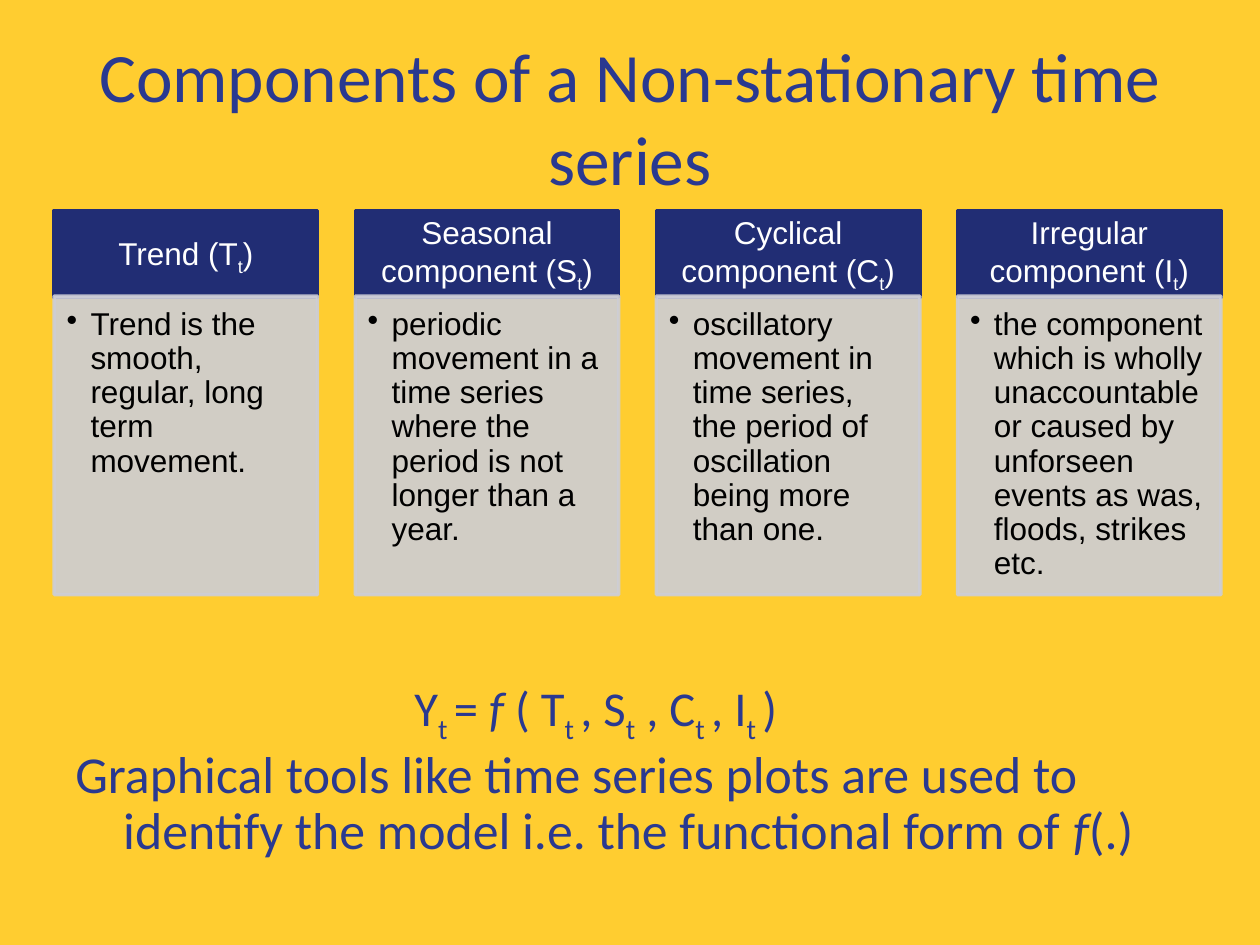
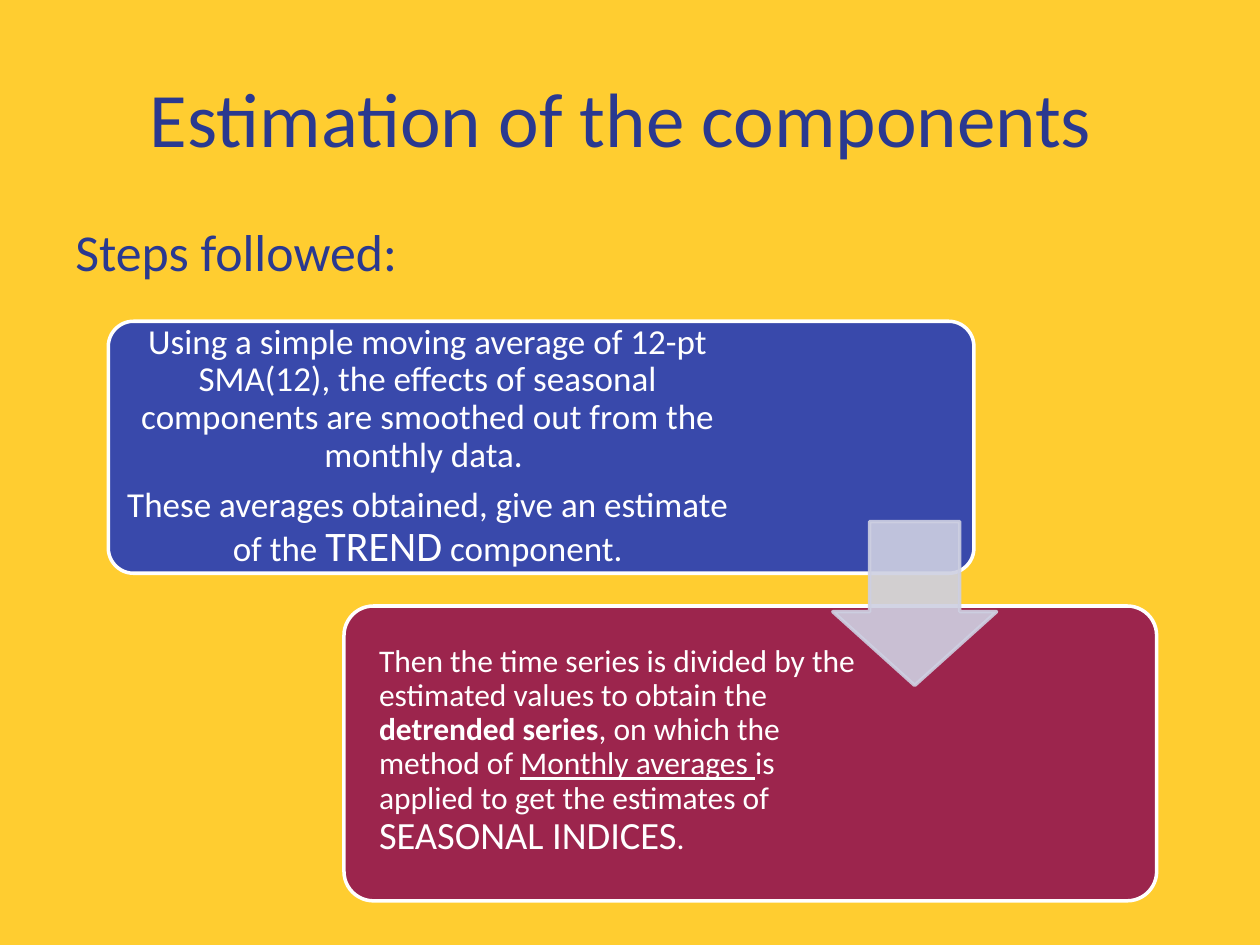
from dataclasses import dataclass, field
from typing import NamedTuple

from lxml import etree
from pptx import Presentation
from pptx.dml.color import RGBColor
from pptx.enum.shapes import MSO_SHAPE as Preset
from pptx.enum.text import MSO_ANCHOR as Anchor, PP_ALIGN as Align
from pptx.oxml.ns import qn
from pptx.util import Inches, Length, Pt


# Theme: every colour, font and type size
@dataclass(frozen=True)
class Theme:
    background: str = "FFCD30"
    ink: str = "2A3990"
    header: str = "212D74"
    card: str = "CDCDD6"
    trend_step: str = "3949AB"
    seasonal_step: str = "9C254D"
    arrow: str = "CED0E2"
    white: str = "FFFFFF"
    black: str = "000000"
    main_font: str = "Calibri"
    card_font: str = "Arial"
    title_size: float = 44
    long_title_size: float = 39.6
    body_size: float = 29.6
    formula_size: float = 27.8
    trend_size: float = 20
    trend_word_size: float = 24
    card_size: float = 18
    seasonal_word_size: float = 22
    outline: float = 2
    veil: int = 90


THEME = Theme()


class Box(NamedTuple):
    left: float
    top: float
    width: float
    height: float


class Insets(NamedTuple):
    left: float = 0.1
    top: float = 0.05
    right: float = 0.1
    bottom: float = 0.05


class Span(NamedTuple):
    text: str
    format: dict = {}
    subscript: bool = False


@dataclass
class Para:
    spans: list[Span]
    size: float
    color: str = THEME.ink
    font: str = THEME.main_font
    margin: float = 0
    indent: float = 0
    bullet: bool = False
    format: dict = field(default_factory=lambda: {"line_spacing": 0.9})


@dataclass
class Panel:
    box: Box
    fill: str
    line: str = THEME.white
    preset: Preset = Preset.RECTANGLE
    adjustments: tuple[float, ...] = ()
    opacity: int = 100


class Component(NamedTuple):
    name: str
    symbol: str
    meaning: str


def lengths(values: tuple[float, ...]) -> list[Length]:
    return [Inches(value) for value in values]


def set_formats(target, formats: dict) -> None:
    for name, value in formats.items():
        setattr(target, name, value)


def subscripted(text: str) -> list[Span]:
    """Split text at braces; the parts within braces are subscripts."""
    parts = text.replace("}", "{").split("{")
    return [Span(part, {}, index % 2 == 1) for index, part in enumerate(parts)]


def write(frame, paras: list[Para], insets: Insets, anchor: Anchor = Anchor.TOP) -> None:
    left, top, right, bottom = lengths(insets)
    set_formats(frame, {"word_wrap": True, "vertical_anchor": anchor,
                        "margin_left": left, "margin_top": top,
                        "margin_right": right, "margin_bottom": bottom})
    for index, para in enumerate(paras):
        paragraph = frame.add_paragraph() if index else frame.paragraphs[0]
        set_formats(paragraph, {"alignment": Align.LEFT} | para.format)
        properties = paragraph._p.get_or_add_pPr()
        properties.set("marL", str(Inches(para.margin)))
        properties.set("indent", str(Inches(para.indent)))
        if para.bullet:
            etree.SubElement(properties, qn("a:buChar")).set("char", "•")
        for span in para.spans:
            run = paragraph.add_run()
            run.text = span.text
            set_formats(run.font, {"name": para.font, "size": Pt(para.size)} | span.format)
            run.font.color.rgb = RGBColor.from_string(para.color)
            if span.subscript:
                run._r.get_or_add_rPr().set("baseline", "-25000")


def add_text(slide, box: Box, paras: list[Para], anchor: Anchor = Anchor.TOP) -> None:
    write(slide.shapes.add_textbox(*lengths(box)).text_frame, paras, Insets(), anchor)


def add_panel(slide, panel: Panel):
    shape = slide.shapes.add_shape(panel.preset, *lengths(panel.box))
    shape.shadow.inherit = False
    for index, value in enumerate(panel.adjustments):
        shape.adjustments[index] = value
    shape.fill.solid()
    shape.fill.fore_color.rgb = RGBColor.from_string(panel.fill)
    shape.line.color.rgb = RGBColor.from_string(panel.line)
    shape.line.width = Pt(THEME.outline)
    if panel.opacity < 100:
        for color in shape._element.spPr.iter(qn("a:srgbClr")):
            etree.SubElement(color, qn("a:alpha")).set("val", str(panel.opacity * 1000))
    return shape


def add_slide(deck, title: str, title_size: float):
    slide = deck.slides.add_slide(deck.slide_layouts[6])
    slide.background.fill.solid()
    slide.background.fill.fore_color.rgb = RGBColor.from_string(THEME.background)
    heading = Para([Span(title)], title_size, format={"alignment": Align.CENTER})
    add_text(slide, Box(0.5, 0.3, 9, 1.25), [heading], Anchor.MIDDLE)
    return slide


# Slide 1: four component cards and the model
COMPONENTS = [
    Component("Trend", "T", "Trend is the smooth, regular, long term movement."),
    Component("Seasonal component", "S", "periodic movement in a time series where "
              "the period is not longer than a year."),
    Component("Cyclical component", "C", "oscillatory movement in time series, "
              "the period of oscillation being more than one."),
    Component("Irregular component", "I", "the component which is wholly unaccountable "
              "or caused by unforseen events as was, floods, strikes etc."),
]
CARD_LEFT, CARD_STEP, CARD_WIDTH = 0.43, 2.39, 2.09
HEADER_TOP, HEADER_HEIGHT = 1.67, 0.69
MEANING_TOP, MEANING_HEIGHT = 2.35, 2.37


def add_card(slide, column: int, component: Component) -> None:
    left = CARD_LEFT + column * CARD_STEP
    header = add_panel(slide, Panel(Box(left, HEADER_TOP, CARD_WIDTH, HEADER_HEIGHT),
                                    THEME.header, THEME.header))
    name = Para(subscripted(f"{component.name} ({component.symbol}{{t}})"), THEME.card_size,
                THEME.white, THEME.card_font,
                format={"alignment": Align.CENTER, "line_spacing": 0.9})
    write(header.text_frame, [name], Insets(0.14, 0.08, 0.14, 0.08), Anchor.MIDDLE)

    body = add_panel(slide, Panel(Box(left, MEANING_TOP, CARD_WIDTH, MEANING_HEIGHT),
                                  THEME.card, THEME.card, opacity=THEME.veil))
    meaning = Para([Span(component.meaning)], THEME.card_size, THEME.black,
                   THEME.card_font, margin=0.19, indent=-0.19, bullet=True)
    write(body.text_frame, [meaning], Insets(0.1, 0.1, 0.14, 0.16))


def build_components(deck) -> None:
    slide = add_slide(deck, "Components of a Non-stationary time series",
                      THEME.long_title_size)
    before, after = subscripted("Y{t }= "), subscripted("( T{t }, S{t} , C{t }, I{t })")
    italic_f = {"italic": True}
    formula = Para([*before, Span("f ", italic_f), *after], THEME.formula_size, margin=2.69)
    tools = Para([Span("Graphical tools like time series plots are used to identify "
                       "the model i.e. the functional form of "),
                  Span("f", italic_f), Span("(.)")],
                 THEME.body_size, margin=0.38, indent=-0.38,
                 format={"line_spacing": 0.9, "space_before": Pt(5.9)})
    add_text(slide, Box(0.5, 5.34, 9, 1.82), [formula, tools])
    for column, component in enumerate(COMPONENTS):
        add_card(slide, column, component)


# Slide 2: two steps joined by an arrow
def build_estimation(deck) -> None:
    slide = add_slide(deck, "Estimation of the components ", THEME.title_size)
    add_text(slide, Box(0.5, 1.75, 9, 0.7), [Para([Span("Steps followed:")], THEME.body_size)])

    centred = {"alignment": Align.CENTER, "line_spacing": 0.9}
    trend_paras = [
        Para([Span("Using a simple moving average of 12-pt SMA(12), the effects of seasonal "
                   "components are smoothed out from the monthly data. ")],
             THEME.trend_size, THEME.white, format=centred),
        Para([Span("These averages obtained, give an estimate of the "),
              Span("TREND", {"size": Pt(THEME.trend_word_size)}), Span(" component.")],
             THEME.trend_size, THEME.white, format=centred | {"space_before": Pt(7)}),
    ]
    seasonal_paras = [
        Para([Span("Then the time series is divided by the estimated values to obtain the "),
              Span("detrended series", {"bold": True}),
              Span(", on which the method of "),
              Span("Monthly averages ", {"underline": True}),
              Span("is applied to get the estimates of "),
              Span("SEASONAL INDICES", {"size": Pt(THEME.seasonal_word_size)}), Span(".")],
             THEME.card_size, THEME.white),
    ]
    steps = [
        (Box(0.86, 2.55, 6.87, 2), THEME.trend_step, trend_paras,
         Insets(0.02, 0.02, 1.82, 0.02)),
        (Box(2.73, 4.81, 6.45, 2.34), THEME.seasonal_step, seasonal_paras,
         Insets(0.21, 0, 2.2, 0.03)),
    ]
    for box, fill, paras, insets in steps:
        step = add_panel(slide, Panel(box, fill, preset=Preset.ROUNDED_RECTANGLE,
                                      adjustments=(0.1,)))
        write(step.text_frame, paras, insets, Anchor.MIDDLE)

    # Adjustments of the arrow: head length, then shaft width
    add_panel(slide, Panel(Box(6.61, 4.14, 1.3, 1.3), THEME.arrow, THEME.arrow,
                           Preset.DOWN_ARROW, (0.55, 0.45), THEME.veil))


def main() -> None:
    deck = Presentation()
    deck.slide_width, deck.slide_height = Inches(10), Inches(7.5)
    build_components(deck)
    build_estimation(deck)
    deck.save("out.pptx")


if __name__ == "__main__":
    main()
